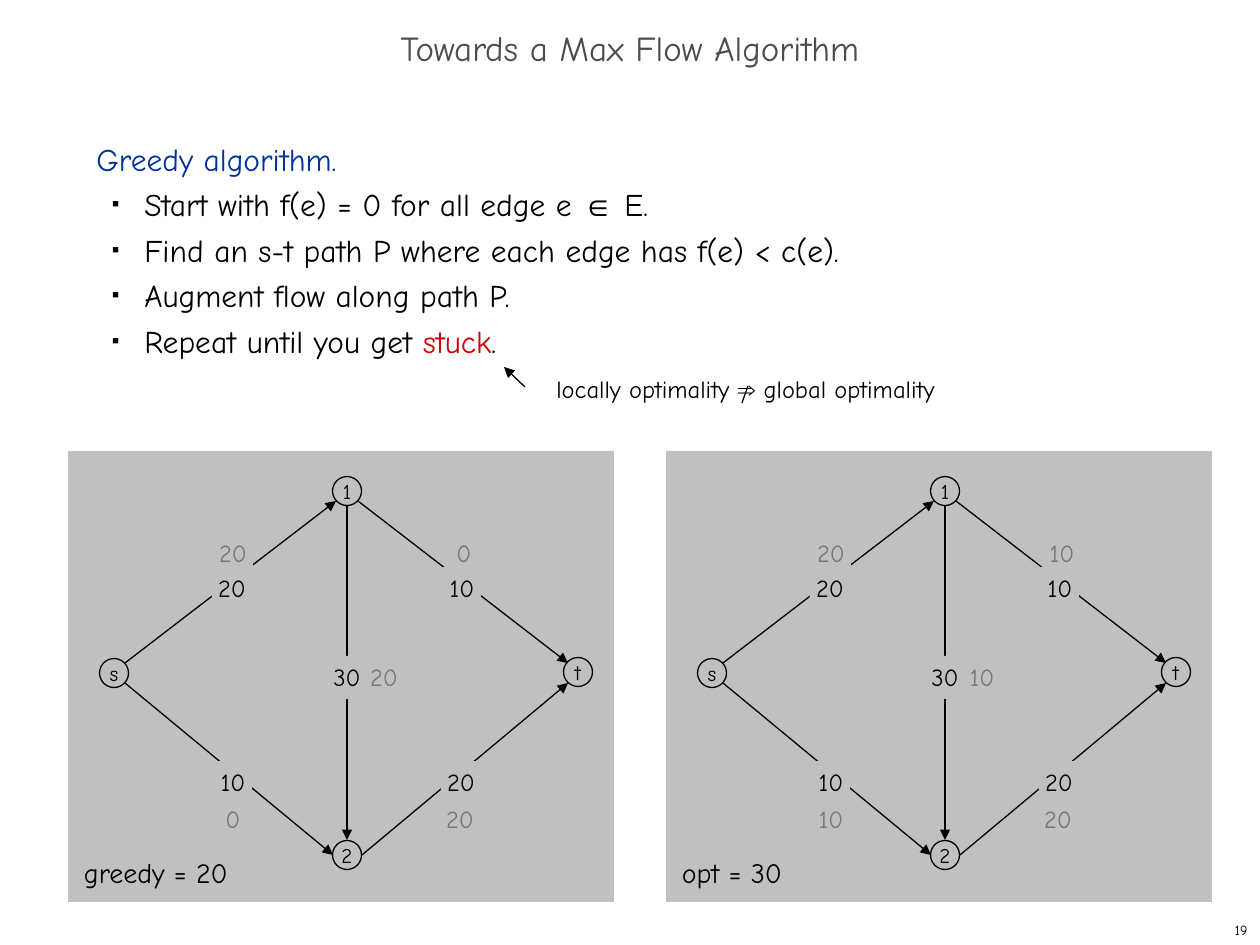
"""Build a slide on the greedy max flow algorithm with two flow networks."""
from lxml import etree
from pptx import Presentation
from pptx.dml.color import RGBColor
from pptx.enum import shapes, text
from pptx.oxml.ns import qn
from pptx.util import Emu, Pt

PX = 914400 / 126
FONT = "Comic Neue"
HEX = {"ink": "000000", "head": "4D4D4D", "blue": "003399",
       "red": "CC0000", "panel": "C0C0C0", "flow": "777777"}
MID = text.MSO_ANCHOR.MIDDLE
CENTER = {"alignment": text.PP_ALIGN.CENTER}
GROW = {"auto_size": text.MSO_AUTO_SIZE.SHAPE_TO_FIT_TEXT}

prs = Presentation()
prs.slide_width, prs.slide_height = Emu(9144000), Emu(6858000)
slide = prs.slides.add_slide(prs.slide_layouts[6])
tree = slide.shapes


def box(at, paras=(), size=14, frame={}, para={}, kind=None, fill=None, line=None):
    at = [Emu(round(n * PX)) for n in at]
    if kind is None:
        item = tree.add_textbox(*at)
    else:
        item = tree.add_shape(kind, *at)
        item.shadow.inherit = False
        item.fill.solid()
        item.fill.fore_color.rgb = RGBColor.from_string(HEX[fill])
        if line:
            item.line.color.rgb = RGBColor.from_string(HEX[line])
            item.line.width = Pt(0.75)
        else:
            item.line.fill.background()
    body = item.text_frame
    base = {"word_wrap": False, "vertical_anchor": text.MSO_ANCHOR.TOP}
    for key, val in {**base, **frame}.items():
        setattr(body, key, val)
    for num, runs in enumerate(paras):
        par = body.paragraphs[0] if num == 0 else body.add_paragraph()
        for key, val in {"alignment": text.PP_ALIGN.LEFT, **para}.items():
            setattr(par, key, val)
        for words, tone, face in runs:
            run = par.add_run()
            run.text = words
            run.font.color.rgb = RGBColor.from_string(HEX[tone])
            for key, val in {"size": Pt(size), "name": face}.items():
                setattr(run.font, key, val)
    return item


def edge(ends, head=True):
    line = tree.add_connector(shapes.MSO_CONNECTOR.STRAIGHT,
                              *[Emu(round(n * PX)) for n in ends])
    line.line.color.rgb = RGBColor.from_string(HEX["ink"])
    line.line.width = Pt(0.75)
    if head:
        tail = etree.SubElement(line.line._get_or_add_ln(), qn("a:tailEnd"))
        tail.set("type", "triangle")
    etree.SubElement(line._element.spPr, qn("a:effectLst"))


box((998, 914, 262, 31), [[("19", "ink", FONT)]], 8,
    {"vertical_anchor": MID}, {"alignment": text.PP_ALIGN.RIGHT})
box((0, 21, 1260, 63), [[("Towards a Max Flow Algorithm", "head", FONT)]], 20,
    {"vertical_anchor": MID, "word_wrap": True}, {**CENTER, "line_spacing": 0.7})

steps = [
    [("Greedy algorithm.", "blue", FONT)],
    [("Start with f(e) = 0 for all edge e ", "ink", FONT), ("∈", "ink", "Arial"),
     (" E.", "ink", FONT)],
    [("Find an s-t path P where each edge has f(e) < c(e).", "ink", FONT)],
    [("Augment flow along path P.", "ink", FONT)],
    [("Repeat until you get ", "ink", FONT), ("stuck", "red", FONT), (".", "ink", FONT)],
]
plan = box((84, 126, 1081, 746), steps, 18, {"word_wrap": True}, {"line_spacing": Pt(26)})
for par in plan.text_frame.paragraphs[1:]:
    props = par._p.get_or_add_pPr()
    for key, val in {"lvl": 1, "marL": round(48 * PX), "indent": round(-32 * PX)}.items():
        props.set(key, str(val))
    tone = etree.SubElement(props, qn("a:buClr"))
    etree.SubElement(tone, qn("a:srgbClr")).set("val", HEX["ink"])
    for tag, key, val in (("buSzPct", "val", "35000"), ("buFont", "typeface", "Arial"),
                          ("buChar", "char", "■")):
        etree.SubElement(props, qn("a:" + tag)).set(key, val)

NODES = {"s": (114, 673), "1": (347, 491), "2": (347, 855), "t": (578, 672)}
EDGES = [(125, 663, 336, 501), (125, 683, 333, 855), (362, 855, 568, 683),
         (347, 505, 347, 840), (358, 501, 568, 663)]
CAPS = [("20", 232, 567), ("10", 462, 567), ("10", 233, 761), ("20", 461, 761),
        ("30", 347, 656)]
SPOTS = [(233, 532), (464, 532), (233, 798), (384, 656), (460, 798)]
WIDE = {"0": 28, "10": 38, "20": 40, "30": 40}
NETS = [(0, "greedy = 20", ("20", "0", "0", "20", "20")),
        (598, "opt = 30", ("20", "10", "10", "10", "20"))]
RECT, OVAL = shapes.MSO_SHAPE.RECTANGLE, shapes.MSO_SHAPE.OVAL
pad = {"margin_" + side: Emu(round(6 * PX)) for side in ("left", "top", "right", "bottom")}
wide = {"margin_left": Emu(round(19 * PX)), "margin_top": Emu(round(13 * PX))}

for dx, name, flows in NETS:
    box((68 + dx, 451, 546, 451), kind=RECT, fill="panel")
    box((65 + dx, 843, 231, 59), [[(name, "ink", FONT)]], 16, wide,
        {"space_before": Pt(10)})
    for x1, y1, x2, y2 in EDGES:
        edge((x1 + dx, y1, x2 + dx, y2))
    for node, (x, y) in NODES.items():
        box((x + dx - 14.5, y - 14.5, 29, 29), [[(node, "ink", FONT)]], 12,
            {"vertical_anchor": MID}, CENTER, OVAL, "panel", "ink")
    tags = [(num, x, y, "ink") for num, x, y in CAPS]
    tags += [(num, x, y, "flow") for num, (x, y) in zip(flows, SPOTS)]
    for num, x, y, tone in tags:
        span = WIDE[num]
        box((x + dx - span / 2, y, span, 43), [[(num, tone, FONT)]], 14,
            {**pad, **GROW}, {**CENTER, "space_before": Pt(8.8)}, RECT, "panel")

box((544, 368, 406, 42), [[("locally optimality ", "ink", FONT), ("⇒", "ink", "Arial"),
                           (" global optimality", "ink", FONT)]],
    14, GROW, {"space_before": Pt(8.8)})
edge((525, 387, 504, 367))
edge((748, 386, 742, 403), head=False)

prs.save("out.pptx")
